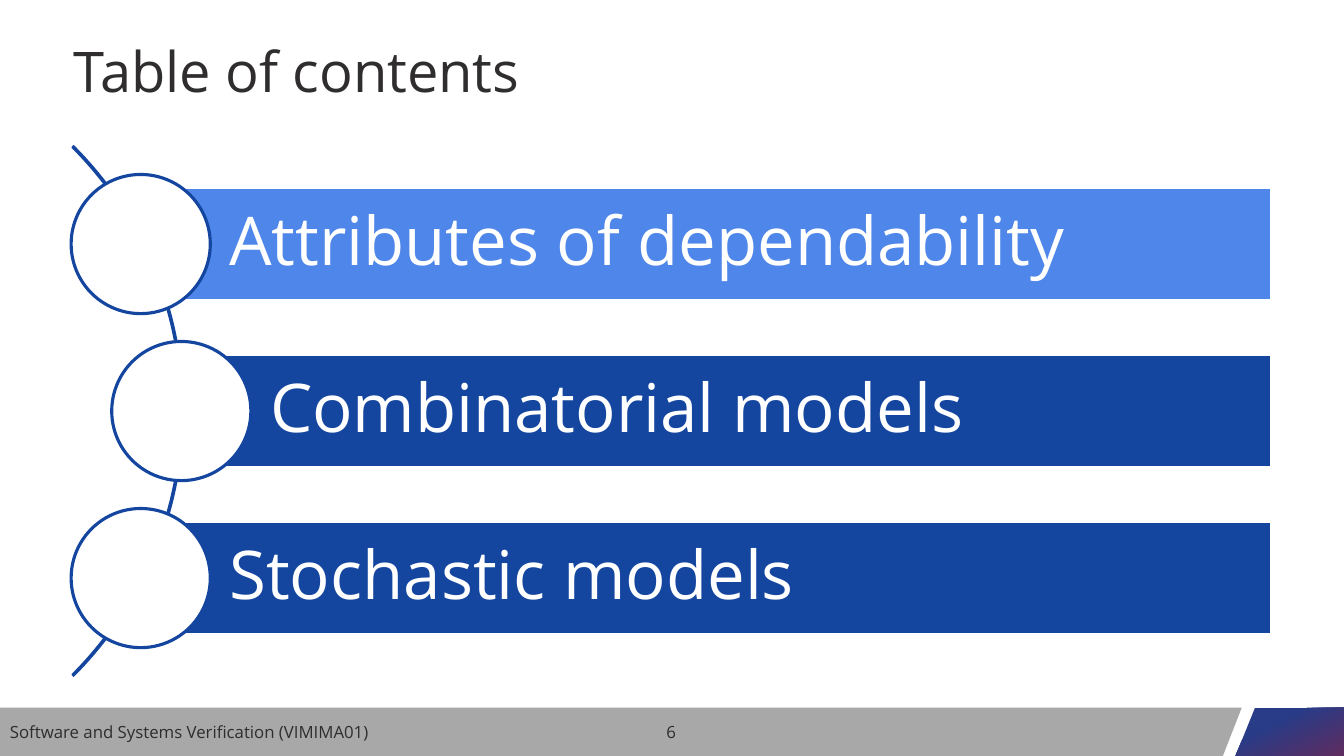
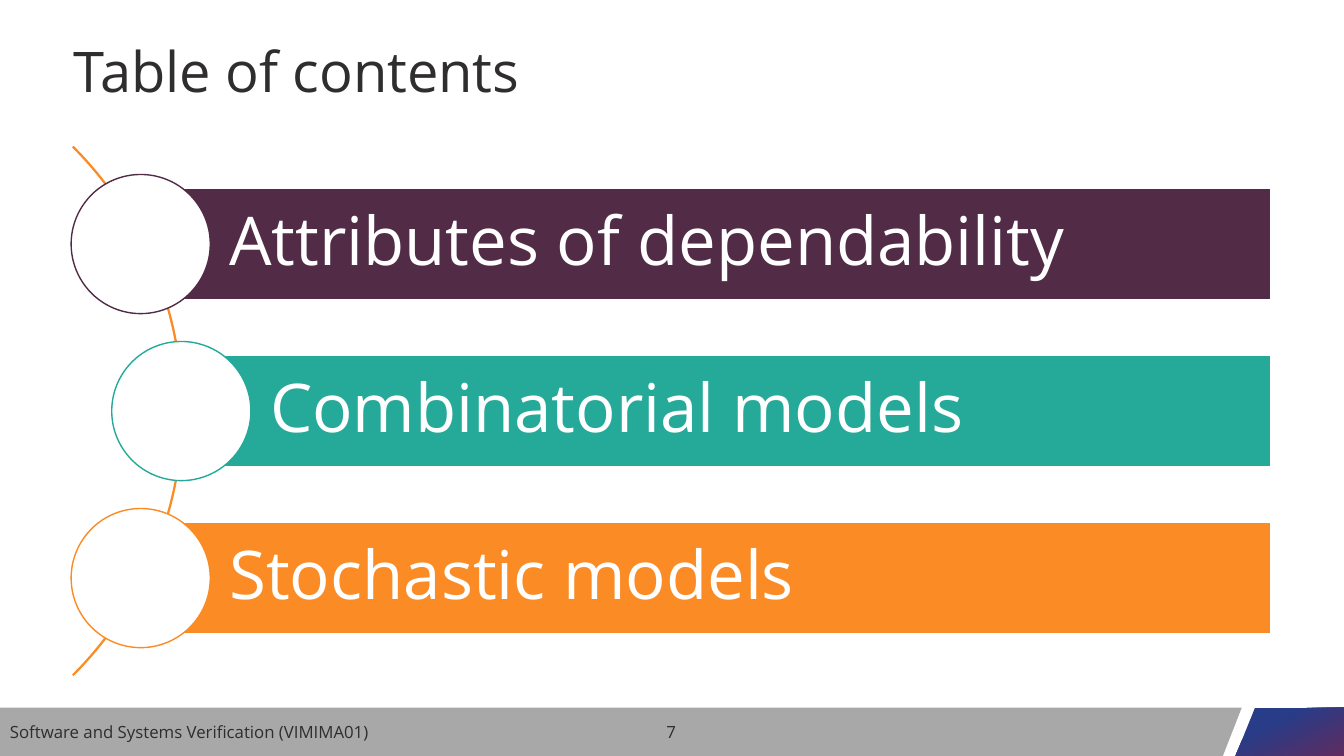
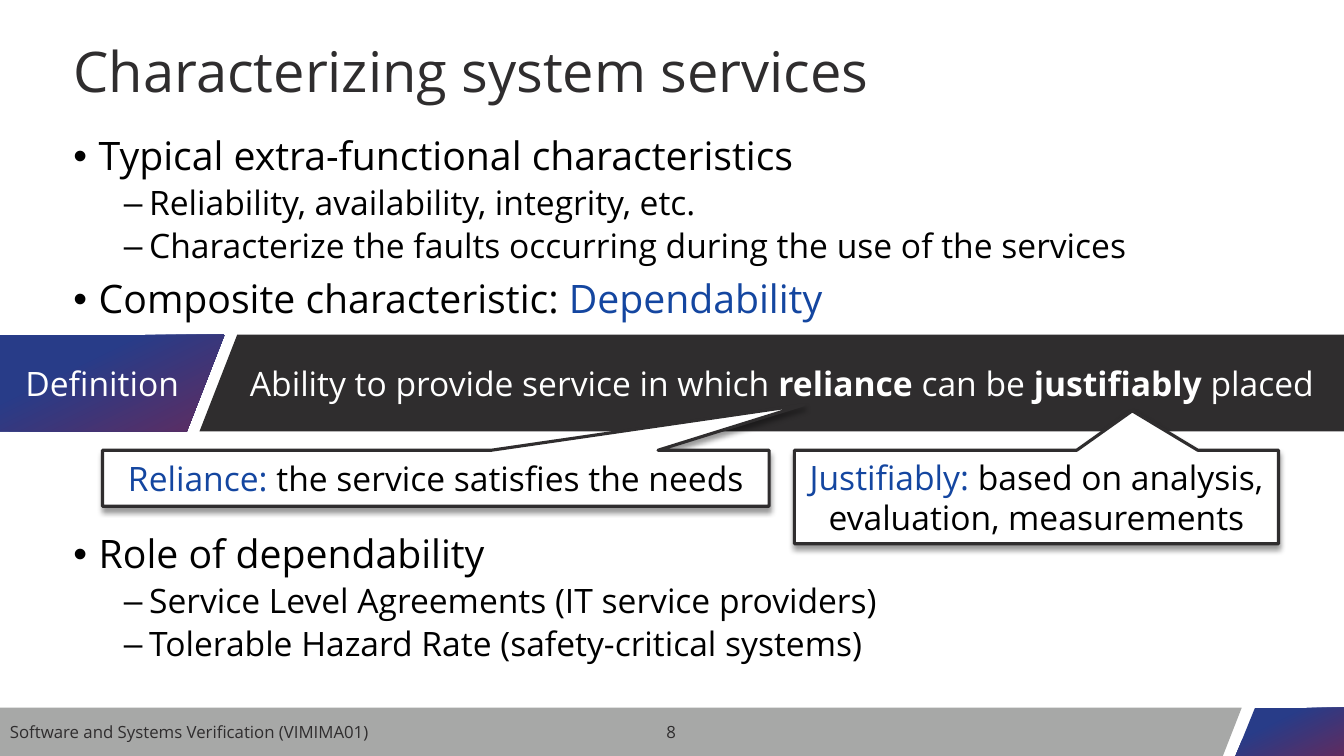
from lxml import etree
from pptx import Presentation
from pptx.dml.color import RGBColor
from pptx.enum.shapes import MSO_SHAPE
from pptx.enum.text import MSO_ANCHOR, PP_ALIGN
from pptx.oxml.ns import qn
from pptx.util import Pt

RECTANGLE, OVAL = MSO_SHAPE.RECTANGLE, MSO_SHAPE.OVAL
BLOCK_ARC, CALLOUT = MSO_SHAPE.BLOCK_ARC, MSO_SHAPE.RECTANGULAR_CALLOUT
LEFT, CENTER = PP_ALIGN.LEFT, PP_ALIGN.CENTER
TOP, MIDDLE = MSO_ANCHOR.TOP, MSO_ANCHOR.MIDDLE

WHITE = RGBColor(0xFF, 0xFF, 0xFF)
BLACK = RGBColor(0x00, 0x00, 0x00)
DARK = RGBColor(0x2F, 0x2D, 0x2E)
GREY = RGBColor(0xA7, 0xA8, 0xA7)
BLUE = RGBColor(0x14, 0x46, 0xA0)
LIGHT_BLUE = RGBColor(0x4F, 0x86, 0xE9)
PLUM = RGBColor(0x52, 0x2B, 0x47)
TEAL = RGBColor(0x25, 0xA9, 0x99)
ORANGE = RGBColor(0xFB, 0x8B, 0x24)
NAVY = RGBColor(0x28, 0x3C, 0x88)
PURPLE = RGBColor(0x5F, 0x2C, 0x60)

FONT = "Open Sans"
WIDTH, HEIGHT = 960, 540
FOOTER_TOP = 505.5
MARGIN, CONTENT_WIDTH = 45.4, 867.6
TOPICS = ["Attributes of dependability", "Combinatorial models", "Stochastic models"]

# Contents list geometry
BAR_RIGHT, BAR_HEIGHT = 908, 79
FIRST_CENTER, PITCH = 174.3, 119.3
BAR_LEFTS = [100.5, 129.5, 100.5]
CIRCLE = 99.4
ARC_X, ARC_SIZE = -136.8, 535.7

# Bullet levels: text size, indent, space before, bullet
LEVELS = [(28, 18, 10, "•"), (24, 54, 5, "–")]
HANGING = 18


def points(*values):
    return [Pt(value) for value in values]


# Text
def add_spans(para, spans, size):
    """Each span is (text, colour) or (text, colour, bold)."""
    for text, color, *bold in spans:
        span = para.add_run()
        span.text = text
        font = span.font
        font.name, font.size, font.color.rgb = FONT, Pt(size), color
        font.bold = bool(bold and bold[0])


def set_frame(frame, anchor=MIDDLE, left=7.2, right=7.2):
    frame.word_wrap = True
    frame.vertical_anchor = anchor
    frame.margin_left, frame.margin_right = points(left, right)


def set_line(shape, spans, size, align=CENTER, left=7.2, right=7.2):
    set_frame(shape.text_frame, MIDDLE, left, right)
    para = shape.text_frame.paragraphs[0]
    para.alignment = align
    add_spans(para, spans, size)
    return para


def add_label(page, left, top, width, height, text, size, align):
    box = page.shapes.add_textbox(*points(left, top, width, height))
    set_line(box, [(text, DARK)], size, align)


def add_bullets(page, top, height, items):
    """Each item is (level, spans)."""
    box = page.shapes.add_textbox(*points(MARGIN, top, CONTENT_WIDTH, height))
    frame = box.text_frame
    set_frame(frame, TOP)
    for index, (level, spans) in enumerate(items):
        para = frame.add_paragraph() if index else frame.paragraphs[0]
        size, indent, before, bullet = LEVELS[level]
        para.level = level
        para.line_spacing = 0.9
        para.space_before = Pt(before)
        add_spans(para, spans, size)
        props = para._p.get_or_add_pPr()
        props.set("marL", str(Pt(indent)))
        props.set("indent", str(-Pt(HANGING)))
        etree.SubElement(props, qn("a:buFont"), typeface="Arial")
        etree.SubElement(props, qn("a:buChar"), char=bullet)


# Shapes
def paint(shape, fill, line=None, weight=1):
    shape.shadow.inherit = False
    shape.fill.solid()
    shape.fill.fore_color.rgb = fill
    if line is None:
        shape.line.fill.background()
    else:
        shape.line.color.rgb = line
        shape.line.width = Pt(weight)


def add_preset(page, kind, left, top, width, height, fill, line=None, weight=1):
    shape = page.shapes.add_shape(kind, *points(left, top, width, height))
    paint(shape, fill, line, weight)
    return shape


def add_band(page, corners, fill):
    first, *rest = [points(*corner) for corner in corners]
    builder = page.shapes.build_freeform(*first)
    builder.add_line_segments(rest, close=True)
    band = builder.convert_to_shape()
    paint(band, fill)
    return band


def set_gradient(shape):
    shape.fill.gradient()
    shape.fill.gradient_angle = 296
    stops = shape.fill.gradient_stops
    for stop, position, color in zip(stops, (0.32, 1), (NAVY, PURPLE)):
        stop.position = position
        stop.color.rgb = color


def add_callout(page, left, top, width, height, tip, spans):
    callout = add_preset(page, CALLOUT, left, top, width, height, WHITE, DARK, 2.25)
    callout.adjustments[0], callout.adjustments[1] = tip
    set_line(callout, spans, 24)
    effects = callout.element.spPr.find(qn("a:effectLst"))
    shadow = etree.SubElement(
        effects, qn("a:outerShdw"), blurRad=str(Pt(4)), dist=str(Pt(3)),
        dir="5400000", algn="t", rotWithShape="0")
    color = etree.SubElement(shadow, qn("a:srgbClr"), val=str(BLACK))
    etree.SubElement(color, qn("a:alpha"), val="40000")


# Shared frame
def add_footer_bands(page, layout):
    """Draw the two footer bands and move them to the layout."""
    grey_band = add_band(page, [(0, FOOTER_TOP), (887, FOOTER_TOP),
                                (873.5, HEIGHT), (0, HEIGHT)], GREY)
    corner_band = add_band(page, [(896.5, FOOTER_TOP), (WIDTH, FOOTER_TOP),
                                  (WIDTH, HEIGHT), (882.5, HEIGHT)], GREY)
    set_gradient(corner_band)
    for index, band in enumerate([grey_band, corner_band]):
        band.element.nvSpPr.cNvPr.set("id", str(100 + index))
        layout.shapes.element.insert(2 + index, band.element)


def add_page(deck, title, number):
    page = deck.slides.add_slide(deck.slide_layouts[5])
    box = page.shapes.title
    box.left, box.top, box.width, box.height = points(MARGIN, 24.5, CONTENT_WIDTH, 56.9)
    para = set_line(box, [(title, DARK)], 40, LEFT)
    para.line_spacing = 0.9
    add_label(page, 0, 507.6, 324, 30.2, "Software and Systems Verification (VIMIMA01)", 12, LEFT)
    add_label(page, 371.5, 507.6, 216, 30.2, str(number), 12, CENTER)
    return page


# Slides
def add_contents(page, bar_colors, circle_colors, weight, arc_color, arc_line=None):
    arc_top = FIRST_CENTER + PITCH - ARC_SIZE / 2
    arc = add_preset(page, BLOCK_ARC, ARC_X - ARC_SIZE / 2, arc_top,
                     ARC_SIZE, ARC_SIZE, arc_color, arc_line)
    for index, value in enumerate((189, 27, 0.003)):
        arc.adjustments[index] = value
    rows = zip(TOPICS, BAR_LEFTS, bar_colors, circle_colors)
    for index, (topic, left, bar_color, circle_color) in enumerate(rows):
        center = FIRST_CENTER + index * PITCH
        bar = add_preset(page, RECTANGLE, left, center - BAR_HEIGHT / 2,
                         BAR_RIGHT - left, BAR_HEIGHT, bar_color, WHITE)
        para = set_line(bar, [(topic, WHITE)], 48, LEFT, 63.4, 9.4)
        para.line_spacing = 0.9
        add_preset(page, OVAL, left - CIRCLE / 2, center - CIRCLE / 2,
                   CIRCLE, CIRCLE, WHITE, circle_color, weight)


def add_services(page):
    add_bullets(page, 94.3, 140, [
        (0, [("Typical extra-functional characteristics", BLACK)]),
        (1, [("Reliability, availability, integrity, etc.", BLACK)]),
        (1, [("Characterize the faults occurring during the use of the services", BLACK)]),
        (0, [("Composite characteristic: ", BLACK), ("Dependability", BLUE)]),
    ])
    add_bullets(page, 378.6, 110, [
        (0, [("Role of dependability", BLACK)]),
        (1, [("Service Level Agreements (IT service providers)", BLACK)]),
        (1, [("Tolerable Hazard Rate (safety-critical systems)", BLACK)]),
    ])

    # Definition band
    top, bottom = 239, 308.2
    definition = add_band(page, [(169.5, top), (WIDTH, top), (WIDTH, bottom), (142.5, bottom)], DARK)
    set_line(definition, [
        ("Ability to provide service in which ", WHITE), ("reliance", WHITE, True),
        (" can be ", WHITE), ("justifiably", WHITE, True), (" placed", WHITE),
    ], 24, left=21.6)
    label = add_band(page, [(0, top), (160.5, top), (133.5, bottom), (0, bottom)], DARK)
    set_gradient(label)
    set_line(label, [("Definition", WHITE)], 24, right=21.6)

    # Explanations
    add_callout(page, 73.2, 321.6, 476.2, 40, (0.552, -1.312), [
        ("Reliance: ", BLUE), ("the service satisfies the needs", BLACK)])
    add_callout(page, 567.4, 321.6, 345.8, 66.8, (0.198, -0.922), [
        ("Justifiably: ", BLUE), ("based on analysis, evaluation, measurements", BLACK)])


def main():
    deck = Presentation()
    deck.slide_width, deck.slide_height = points(WIDTH, HEIGHT)

    overview = add_page(deck, "Table of contents", 6)
    add_footer_bands(overview, deck.slide_layouts[5])
    add_contents(overview, [LIGHT_BLUE, BLUE, BLUE], [BLUE] * 3, 2.25, BLUE, BLUE)

    colorful = [PLUM, TEAL, ORANGE]
    add_contents(add_page(deck, "Table of contents", 7), colorful, colorful, 1, ORANGE)

    add_services(add_page(deck, "Characterizing system services", 8))
    deck.save("out.pptx")


if __name__ == "__main__":
    main()
